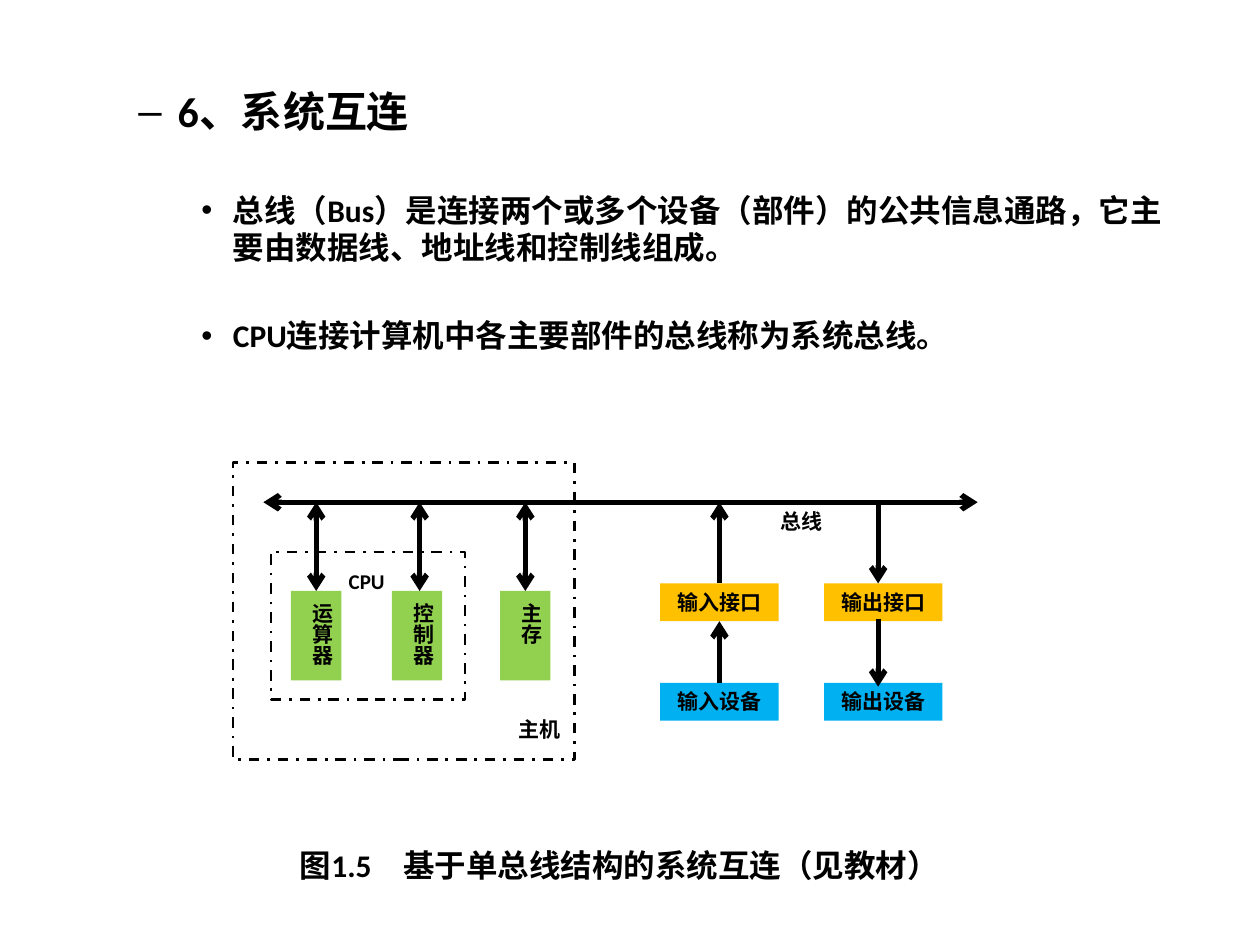
from lxml.etree import SubElement
from pptx import Presentation
from pptx.dml.color import RGBColor
from pptx.enum.dml import MSO_LINE_DASH_STYLE as Dash
from pptx.enum.shapes import MSO_CONNECTOR as Connector, MSO_SHAPE as Shape
from pptx.enum.text import MSO_AUTO_SIZE as AutoSize, MSO_ANCHOR as Anchor, PP_ALIGN as Align
from pptx.oxml.ns import qn
from pptx.util import Pt

COLORS = {
    "text": "000000",
    "line": "000000",
    "caption": "FFFFFF",
    "interface": "FFC000",
    "device": "00B0F0",
    "unit": "92D050",
}
FRAME_FORMAT = {"vertical_anchor": Anchor.TOP, "auto_size": AutoSize.SHAPE_TO_FIT_TEXT}
FONT_FORMAT = {"name": "Calibri", "bold": True}


def write(paragraph, text, size, align=Align.LEFT):
    paragraph.alignment = align
    run = paragraph.add_run()
    run.text = text
    for attribute, value in {**FONT_FORMAT, "size": Pt(size)}.items():
        setattr(run.font, attribute, value)
    run.font.color.rgb = RGBColor.from_string(COLORS["text"])


def add_block(left, top, width, height, fill=None):
    block = slide.shapes.add_shape(Shape.RECTANGLE, Pt(left), Pt(top), Pt(width), Pt(height))
    block.shadow.inherit = False
    if fill:
        block.fill.solid()
        block.fill.fore_color.rgb = RGBColor.from_string(COLORS[fill])
        block.line.fill.background()
    else:
        block.fill.background()
        block.line.color.rgb = RGBColor.from_string(COLORS["line"])
        block.line.width = Pt(1.5)
        block.line.dash_style = Dash.DASH_DOT
    for attribute, value in {**FRAME_FORMAT, "word_wrap": True}.items():
        setattr(block.text_frame, attribute, value)
    return block


deck = Presentation()
deck.slide_width, deck.slide_height = Pt(720), Pt(540)
slide = deck.slides.add_slide(deck.slide_layouts[6])

outline = slide.shapes.add_textbox(Pt(36), Pt(43.2), Pt(648), Pt(356.4)).text_frame
outline.word_wrap = True
points = [
    ("6、系统互连", "–", 1, 24, 58.5, -22.5, 31, 0),
    ("总线（Bus）是连接两个或多个设备（部件）的公共信息通路，它主要由数据线、地址线和控制线组成。",
     "•", 2, 18, 90, -18, 21, 32),
    ("CPU连接计算机中各主要部件的总线称为系统总线。", "•", 2, 18, 90, -18, 21, 29.5),
]
for index, (text, bullet, level, size, margin, indent, pitch, gap) in enumerate(points):
    point = outline.add_paragraph() if index else outline.paragraphs[0]
    properties = point._p.get_or_add_pPr()
    properties.set("marL", str(Pt(margin)))
    properties.set("indent", str(Pt(indent)))
    SubElement(properties, qn("a:buFont")).set("typeface", "Arial")
    SubElement(properties, qn("a:buChar")).set("char", bullet)
    for attribute, value in {"level": level, "line_spacing": Pt(pitch), "space_before": Pt(gap)}.items():
        setattr(point, attribute, value)
    write(point, text, size)

caption = add_block(154.8, 480.2, 398.2, 28.8, "caption")
write(caption.text_frame.paragraphs[0], "图1.5　基于单总线结构的系统互连（见教材）", 18, Align.CENTER)

for row_top, kind, suffix in [(333.4, "interface", "接口"), (390.2, "device", "设备")]:
    for column_left, direction in [(377.3, "输入"), (470.9, "输出")]:
        box = add_block(column_left, row_top, 67.7, 21.6, kind)
        write(box.text_frame.paragraphs[0], direction + suffix, 12, Align.CENTER)

BUS_Y = 287
UNIT_TOP = 337.7
INPUT_X, OUTPUT_X = 411.1, 501.8
links = [
    (150.5, BUS_Y, 558.7, BUS_Y, ("headEnd", "tailEnd")),
    (INPUT_X, BUS_Y, INPUT_X, 333.4, ("headEnd",)),
    (OUTPUT_X, BUS_Y, OUTPUT_X, 333.4, ("tailEnd",)),
    (INPUT_X, 355, INPUT_X, 390.2, ("headEnd",)),
    (OUTPUT_X, 353.5, OUTPUT_X, 392.4, ("tailEnd",)),
]
for unit, unit_left, link_x in [("运算器", 166.3, 180.7), ("控制器", 223.9, 239.8), ("主存", 285.8, 300.2)]:
    box = add_block(unit_left, UNIT_TOP, 28.8, 51.1, "unit")
    box.text_frame._txBody.bodyPr.set("vert", "eaVert")
    write(box.text_frame.paragraphs[0], unit, 12)
    links.append((link_x, BUS_Y, link_x, UNIT_TOP, ("headEnd", "tailEnd")))

for start_x, start_y, end_x, end_y, arrow_ends in links:
    link = slide.shapes.add_connector(Connector.STRAIGHT, Pt(start_x), Pt(start_y), Pt(end_x), Pt(end_y))
    link.line.color.rgb = RGBColor.from_string(COLORS["line"])
    link.line.width = Pt(3)
    for arrow_end in arrow_ends:
        SubElement(link.line._ln, qn(f"a:{arrow_end}")).set("type", "arrow")
    SubElement(link._element.spPr, qn("a:effectLst"))

add_block(154.8, 315.4, 110.9, 84.2)
add_block(133.2, 264.2, 195.1, 169.9)

for label, left, top, width in [("CPU", 192.2, 321.1, 35.3), ("主机", 289.4, 406.1, 38.9), ("总线", 439.2, 287.3, 38.9)]:
    label_frame = slide.shapes.add_textbox(Pt(left), Pt(top), Pt(width), Pt(21.6)).text_frame
    for attribute, value in {**FRAME_FORMAT, "word_wrap": False}.items():
        setattr(label_frame, attribute, value)
    write(label_frame.paragraphs[0], label, 12)

deck.save("out.pptx")
